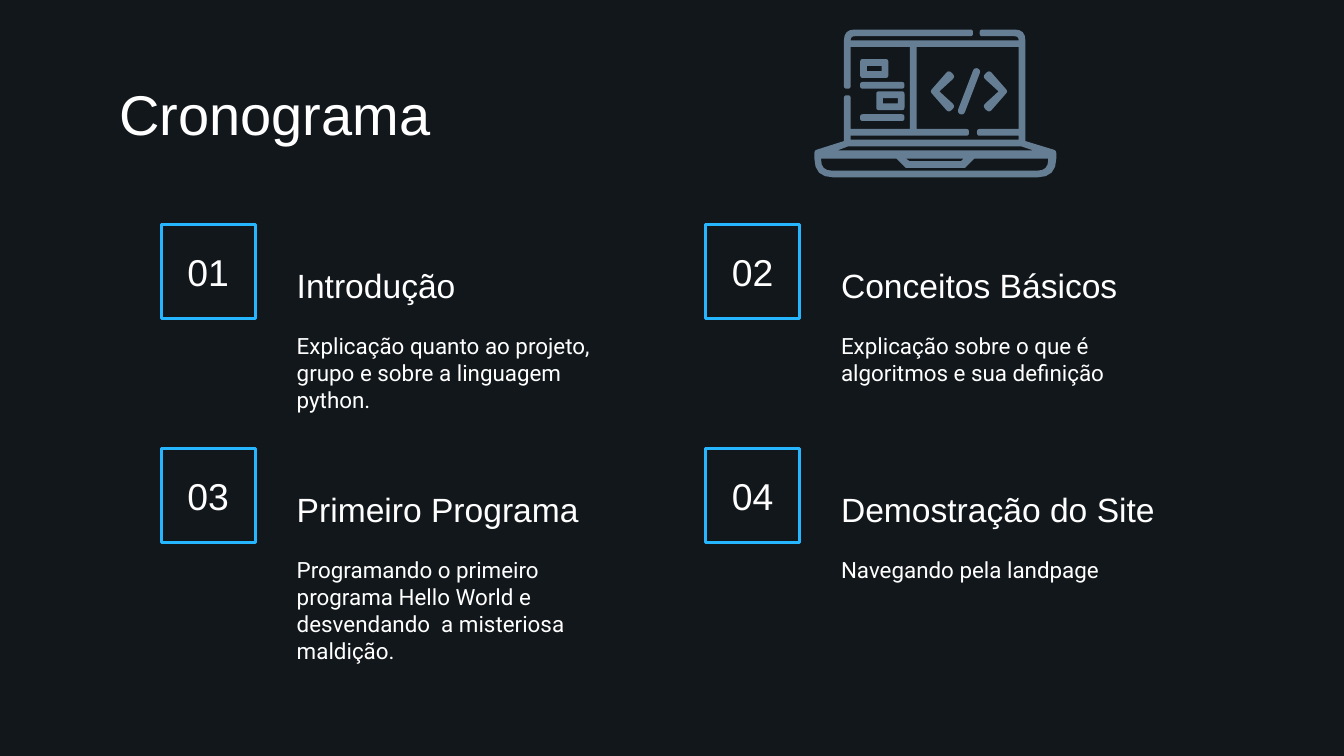
from dataclasses import dataclass
from math import dist

from pptx import Presentation
from pptx import util as u
from pptx.dml.color import RGBColor
from pptx.enum import shapes, text

BACKGROUND, WHITE, BLUE, SLATE = "12171B", "FFFFFF", "25B6FF", "657E93"
COLUMNS, ROWS = (1.2, 5.25), (1.67, 3.34)


@dataclass
class Topic:
    title: str
    body: str


@dataclass
class Style:
    size: int
    font: str = "Arial"
    anchor: text.MSO_ANCHOR = text.MSO_ANCHOR.TOP
    align: text.PP_ALIGN = text.PP_ALIGN.LEFT


TOPICS = [
    Topic("Introdução", "Explicação quanto ao projeto, grupo e sobre a linguagem python."),
    Topic("Conceitos Básicos", "Explicação sobre o que é algoritmos e sua definição"),
    Topic("Primeiro Programa",
          "Programando o primeiro programa Hello World e desvendando  a misteriosa maldição."),
    Topic("Demostração do Site", "Navegando pela landpage"),
]
HEADING = Style(30)
TOPIC_TITLE = Style(18, anchor=text.MSO_ANCHOR.BOTTOM)
TOPIC_BODY = Style(12, "Roboto")
NUMBER = Style(20, anchor=text.MSO_ANCHOR.MIDDLE, align=text.PP_ALIGN.CENTER)

Corners = list[tuple[float, ...]]

LAPTOP: list[Corners] = [
    [(6.28, 0.22, 0.08), (6.28, 0.66, 0.02), (6.33, 0.66, 0.02), (6.33, 0.35),
     (6.77, 0.35), (6.77, 0.96), (6.33, 0.96), (6.33, 0.71, 0.02), (6.28, 0.71, 0.02),
     (6.28, 1.05), (6.06, 1.12, 0.02), (6.06, 1.32, 0.14), (7.86, 1.32, 0.14),
     (7.86, 1.12, 0.02), (7.63, 1.05), (7.63, 0.22, 0.08), (7.29, 0.22, 0.02),
     (7.29, 0.27, 0.02), (7.58, 0.27, 0.03), (7.58, 0.3), (6.33, 0.3),
     (6.33, 0.27, 0.03), (7.24, 0.27, 0.02), (7.24, 0.22, 0.02)],
    [(7.58, 0.35), (7.58, 0.96), (7.27, 0.96, 0.02), (7.27, 1.01, 0.02), (7.58, 1.01),
     (7.58, 1.04), (6.33, 1.04), (6.33, 1.01), (7.21, 1.01, 0.02), (7.21, 0.96, 0.02),
     (6.82, 0.96), (6.82, 0.35)],
    [(7.6, 1.09), (7.69, 1.12), (6.23, 1.12), (6.31, 1.09)],
    [(7.17, 1.18), (7.15, 1.2), (6.77, 1.2), (6.74, 1.18)],
    [(7.8, 1.18), (7.8, 1.27, 0.08), (6.11, 1.27, 0.08), (6.11, 1.18), (6.67, 1.18),
     (6.74, 1.25), (7.18, 1.25), (7.25, 1.18)],
]
CHEVRON: Corners = [(7.06, 0.52, 0.03), (6.92, 0.68, 0.02), (7.06, 0.84, 0.03),
                    (7.11, 0.79, 0.03), (6.99, 0.68), (7.11, 0.57, 0.03)]
SLASH: Corners = [(7.25, 0.5, 0.03), (7.12, 0.84, 0.03), (7.17, 0.86, 0.03),
                  (7.3, 0.52, 0.03)]


def rgb(value: str) -> RGBColor:
    return RGBColor.from_string(value)


def write(sp, content: str, style: Style) -> None:
    tf = sp.text_frame
    tf.word_wrap = True
    tf.vertical_anchor = style.anchor
    tf.margin_left = tf.margin_right = tf.margin_top = tf.margin_bottom = u.Inches(0.1)
    p = tf.paragraphs[0]
    p.text, p.alignment = content, style.align
    p.font.size, p.font.name = u.Pt(style.size), style.font
    p.font.color.rgb = rgb(WHITE)


def add_text(s, x: float, y: float, w: float, h: float, content: str, style: Style) -> None:
    write(s.shapes.add_textbox(*map(u.Inches, (x, y, w, h))), content, style)


def add_topic(s, index: int, topic: Topic) -> None:
    x, y = COLUMNS[index % 2], ROWS[index // 2]
    add_text(s, x + 0.91, y - 0.15, 2.64, 0.85, topic.title, TOPIC_TITLE)
    add_text(s, x + 0.91, y + 0.7, 2.64, 0.63, topic.body, TOPIC_BODY)
    sp = s.shapes.add_shape(shapes.MSO_SHAPE.RECTANGLE, *map(u.Inches, (x, y, 0.7, 0.7)))
    sp.shadow.inherit = False
    sp.fill.background()
    sp.line.color.rgb, sp.line.width = rgb(BLUE), u.Pt(1.5)
    write(sp, f"{index + 1:02}", NUMBER)


def soften(corners: Corners) -> list[tuple[int, int]]:
    """Return outline points, curving each corner that has a radius."""
    points = []
    for i, (x, y, *radius) in enumerate(corners):
        if not radius:
            points.append((u.Inches(x), u.Inches(y)))
            continue
        ends = []
        for other in (corners[i - 1], corners[(i + 1) % len(corners)]):
            k = radius[0] / dist((x, y), other[:2])
            ends.append((x + (other[0] - x) * k, y + (other[1] - y) * k))
        (ax, ay), (bx, by) = ends
        for t in (0, 0.25, 0.5, 0.75, 1):
            a, c, b = (1 - t) ** 2, 2 * t * (1 - t), t ** 2
            points.append((u.Inches(a * ax + c * x + b * bx),
                           u.Inches(a * ay + c * y + b * by)))
    return points


def box(x: float, y: float, w: float, h: float, *radius: float) -> Corners:
    return [(x, y, *radius), (x, y + h, *radius), (x + w, y + h, *radius), (x + w, y, *radius)]


def add_outline(group, contours: list[Corners]) -> None:
    first, *holes = map(soften, contours)
    builder = group.shapes.build_freeform(*first[0])
    builder.add_line_segments(first[1:])
    for hole in holes:
        builder.move_to(*hole[0])
        builder.add_line_segments(hole[1:])
    sp = builder.convert_to_shape()
    sp.shadow.inherit = False
    sp.fill.solid()
    sp.fill.fore_color.rgb = rgb(SLATE)
    sp.line.fill.background()


def add_laptop(s) -> None:
    group = s.shapes.add_group_shape()
    add_outline(group, LAPTOP)
    for x, y in ((6.4, 0.44), (6.52, 0.68)):
        add_outline(group, [box(x, y, 0.21, 0.14, 0.02), box(x + 0.05, y + 0.05, 0.11, 0.04)])
        add_outline(group, [box(6.4, y + 0.17, 0.33, 0.05, 0.02)])
    add_outline(group, [CHEVRON])
    add_outline(group, [[(14.42 - x, *rest) for x, *rest in CHEVRON]])
    add_outline(group, [SLASH])


def main() -> None:
    prs = Presentation()
    prs.slide_width, prs.slide_height = u.Inches(10), u.Inches(10 * 9 / 16)
    s = prs.slides.add_slide(prs.slide_layouts[6])
    s.background.fill.solid()
    s.background.fill.fore_color.rgb = rgb(BACKGROUND)
    add_text(s, 0.79, 0.49, 8.43, 0.63, "Cronograma", HEADING)
    for index, topic in enumerate(TOPICS):
        add_topic(s, index, topic)
    add_laptop(s)
    prs.save("out.pptx")


if __name__ == "__main__":
    main()
